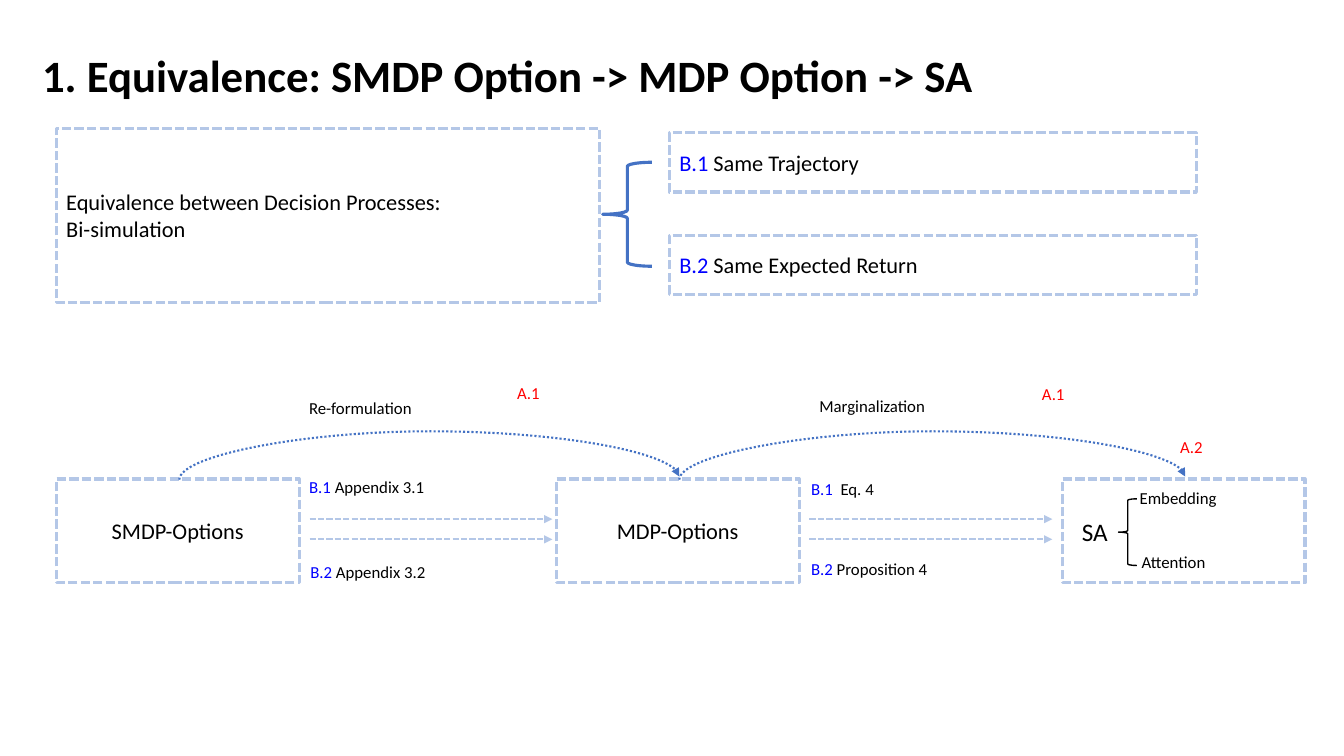
from dataclasses import dataclass

from lxml import etree
from pptx import Presentation
from pptx.dml.color import RGBColor
from pptx.enum.dml import MSO_LINE
from pptx.enum.shapes import MSO_CONNECTOR, MSO_SHAPE
from pptx.enum.text import MSO_ANCHOR, PP_ALIGN
from pptx.oxml.ns import qn
from pptx.util import Cm, Pt

DASHED, DOTTED = MSO_LINE.SQUARE_DOT, MSO_LINE.ROUND_DOT
STRAIGHT, CURVE = MSO_CONNECTOR.STRAIGHT, MSO_CONNECTOR.CURVE
RECTANGLE, LEFT_BRACE = MSO_SHAPE.RECTANGLE, MSO_SHAPE.LEFT_BRACE
TOP, MIDDLE = MSO_ANCHOR.TOP, MSO_ANCHOR.MIDDLE
LEFT, CENTER = PP_ALIGN.LEFT, PP_ALIGN.CENTER


@dataclass(frozen=True)
class Theme:
    font: str = "Calibri"
    ink: RGBColor = RGBColor(0, 0, 0)
    blue: RGBColor = RGBColor(0, 0, 255)
    red: RGBColor = RGBColor(255, 0, 0)
    pale: RGBColor = RGBColor(0xB4, 0xC7, 0xE7)
    accent: RGBColor = RGBColor(0x44, 0x72, 0xC4)
    title: int = 32
    model: int = 18
    body: int = 16
    label: int = 12


class Board:
    def __init__(self, page, theme):
        self.page = page
        self.theme = theme

    def fill_text(self, holder, paragraphs, size, align=LEFT, anchor=MIDDLE, bold=False):
        frame = holder.text_frame
        frame.word_wrap = True
        frame.vertical_anchor = anchor
        for index, runs in enumerate(paragraphs):
            para = frame.add_paragraph() if index else frame.paragraphs[0]
            para.alignment = align
            for text, color in runs:
                span = para.add_run()
                span.text = text
                span.font.name = self.theme.font
                span.font.size = Pt(size)
                span.font.bold = bold
                span.font.color.rgb = color

    def stroke(self, item, color, width, dash=None):
        item.line.color.rgb = color
        item.line.width = Pt(width)
        if dash is not None:
            item.line.dash_style = dash

    def outline(self, kind, left, top, width, height, color, weight, dash=None):
        shape = self.page.shapes.add_shape(
            kind, Cm(left), Cm(top), Cm(width), Cm(height))
        shape.shadow.inherit = False
        shape.fill.background()
        self.stroke(shape, color, weight, dash)
        return shape

    def box(self, left, top, width, height, paragraphs=(), align=LEFT):
        box = self.outline(
            RECTANGLE, left, top, width, height, self.theme.pale, 2.25, DASHED)
        self.fill_text(box, paragraphs, self.theme.body, align)

    def brace(self, left, top, width, height, color, weight):
        self.outline(LEFT_BRACE, left, top, width, height, color, weight)

    def text(self, left, top, width, height, runs, size, **style):
        holder = self.page.shapes.add_textbox(
            Cm(left), Cm(top), Cm(width), Cm(height))
        self.fill_text(holder, [runs], size, **style)

    def connector(self, kind, start, end, color, dash):
        line = self.page.shapes.add_connector(
            kind, Cm(start[0]), Cm(start[1]), Cm(end[0]), Cm(end[1]))
        self.stroke(line, color, 1.5, dash)
        properties = line._element.spPr
        etree.SubElement(properties.find(qn("a:ln")), qn("a:tailEnd"), type="triangle")
        etree.SubElement(properties, qn("a:effectLst"))
        return properties

    def arrow(self, left, right, y):
        self.connector(STRAIGHT, (left, y), (right, y), self.theme.pale, DASHED)

    def arc(self, left, right, bottom, drop, rise):
        middle_x, middle_y = (left + right) / 2, bottom - drop / 2
        half = (right - left) / 2
        properties = self.connector(
            CURVE, (middle_x + drop / 2, middle_y + half),
            (middle_x - drop / 2, middle_y - half), self.theme.accent, DOTTED)
        properties.find(qn("a:xfrm")).set("rot", "5400000")
        guides = properties.find(qn("a:prstGeom")).find(qn("a:avLst"))
        etree.SubElement(guides, qn("a:gd"), name="adj1",
                         fmla=f"val {round(rise / drop * 100000)}")


def main():
    deck = Presentation()
    deck.slide_width, deck.slide_height = Cm(33.87), Cm(19.05)
    theme = Theme()
    board = Board(deck.slides.add_slide(deck.slide_layouts[6]), theme)

    board.text(0.81, 1.09, 25.65, 1.63,
               [("1. Equivalence: SMDP Option -> MDP Option -> SA", theme.ink)],
               theme.title, anchor=TOP, bold=True)

    board.box(1.42, 3.23, 13.69, 4.39, [
        [("Equivalence between Decision Processes:", theme.ink)],
        [("Bi-simulation", theme.ink)]])
    board.brace(15.19, 4.09, 1.24, 2.62, theme.accent, 2.25)
    for top, code, condition in ((3.35, "B.1 ", "Same Trajectory"),
                                 (5.93, "B.2 ", "Same Expected Return")):
        board.box(16.87, top, 13.28, 1.49,
                  [[(code, theme.blue), (condition, theme.ink)]])

    for left, name in ((1.42, "SMDP-Options"), (14.02, "MDP-Options"), (26.77, "")):
        board.box(left, 12.07, 6.12, 2.62,
                  [[(name, theme.ink)]] if name else (), CENTER)

    for left in (7.8, 20.4):
        for y in (13.08, 13.59):
            board.arrow(left, left + 6.12, y)

    for left, right in ((4.52, 17.12), (17.12, 29.87)):
        board.arc(left, right, bottom=12.09, drop=0.08, rise=1.22)

    for left, top, code, proof in (
            (7.54, 11.4, "B.1 ", "Appendix 3.1"),
            (7.57, 13.54, "B.2 ", "Appendix 3.2"),
            (20.19, 11.46, "B.1  ", "Eq. 4"),
            (20.19, 13.46, "B.2 ", "Proposition 4")):
        board.text(left, top, 8.43, 1.73,
                   [(code, theme.blue), (proof, theme.ink)], theme.label)

    for left, top, step in ((7.54, 9.42, "Re-formulation"),
                            (20.4, 9.37, "Marginalization")):
        board.text(left, top, 8.43, 1.73, [(step, theme.ink)], theme.label)

    for left, top, tag in ((12.78, 9.53, "A.1"), (26.01, 9.55, "A.1"),
                           (29.49, 10.87, "A.2")):
        board.text(left, top, 2.26, 1.47, [(tag, theme.red)], theme.label, anchor=TOP)

    board.text(26.47, 12.88, 2.24, 1.96, [("SA", theme.ink)],
               theme.model, align=CENTER, anchor=TOP)
    board.brace(28.19, 12.57, 0.46, 1.68, theme.ink, 1)
    for left, top, width, part in ((28.47, 12.17, 4.7, "Embedding"),
                                   (28.52, 13.79, 4.09, "Attention")):
        board.text(left, top, width, 1.47, [(part, theme.ink)], theme.label, anchor=TOP)

    deck.save("out.pptx")


if __name__ == "__main__":
    main()
